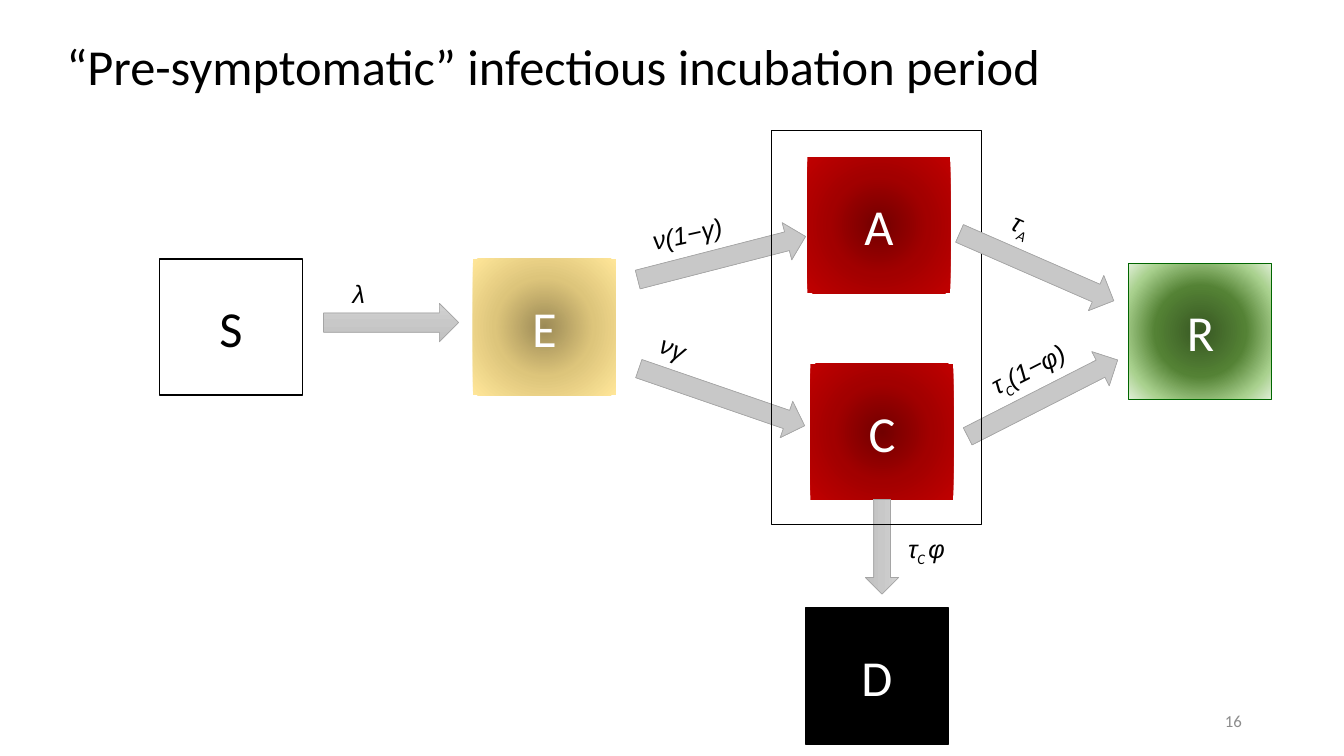
from pptx import Presentation
from pptx.dml.color import RGBColor as RGB
from pptx.enum.shapes import MSO_SHAPE as SHAPE
from pptx.enum.text import MSO_ANCHOR as ANCHOR, PP_ALIGN as ALIGN
from pptx.oxml import parse_xml
from pptx.oxml.ns import nsdecls, qn
from pptx.util import Pt

COLORS = {"black": "000000", "white": "FFFFFF", "green": "006600",
          "edge": "A5A5A5", "number": "8C8C8C"}
RED = [(0, "720000"), (50, "A20000"), (100, "C00000")]
GOLD = [(0, "9C8A56"), (50, "DDC57B"), (100, "FFE699")]
GREEN = [(0, "385723"), (46, "548235"), (79, "A9D18E"), (100, "E2F0D9")]
GRAY = [(0, "D2D2D2"), (50, "C8C8C8"), (100, "C0C0C0")]
RADIAL = ('<a:path path="circle"><a:fillToRect l="50000" t="50000" '
          'r="50000" b="50000"/></a:path>')
LINEAR = '<a:lin ang="5400000" scaled="0"/>'
BOX_W, BOX_H = 102.2, 97.2


class Diagram:
    """Holds the slide and the style of its elements."""

    def __init__(self, slide):
        self.s = slide
        self.font, self.greek = "Calibri", "Arial"

    def run(self, p, text, size, color="black", font=None, italic=False, sub=False):
        r = p.add_run()
        r.text = text
        r.font.name = font or self.font
        r.font.size = Pt(size)
        r.font.italic = italic
        r.font.color.rgb = RGB.from_string(COLORS[color])
        if sub:
            r.font._element.set("baseline", "-25000")

    def gradient(self, sp, stops, direction):
        sp.fill.solid()
        gs = "".join(f'<a:gs pos="{pos * 1000}"><a:srgbClr val="{c}"/></a:gs>'
                     for pos, c in stops)
        grad = parse_xml(f'<a:gradFill {nsdecls("a")} rotWithShape="1">'
                         f'<a:gsLst>{gs}</a:gsLst>{direction}</a:gradFill>')
        spPr = sp._element.spPr
        spPr.replace(spPr.find(qn("a:solidFill")), grad)

    def shape(self, kind, x, y, w, h, line=None, width=1):
        sp = self.s.shapes.add_shape(kind, Pt(x), Pt(y), Pt(w), Pt(h))
        sp.shadow.inherit = False
        sp.fill.background()
        if line:
            sp.line.color.rgb = RGB.from_string(COLORS[line])
            sp.line.width = Pt(width)
        else:
            sp.line.fill.background()
        return sp

    def state(self, letter, x, y, fill, color="white", line=None, width=1):
        sp = self.shape(SHAPE.RECTANGLE, x, y, BOX_W, BOX_H, line, width)
        if isinstance(fill, str):
            sp.fill.solid()
            sp.fill.fore_color.rgb = RGB.from_string(COLORS[fill])
        else:
            self.gradient(sp, fill, RADIAL)
        tf = sp.text_frame
        tf.vertical_anchor = ANCHOR.MIDDLE
        p = tf.paragraphs[0]
        p.alignment = ALIGN.CENTER
        self.run(p, letter, 36, color)

    def arrow(self, x, y, w, h=27.4, angle=0):
        sp = self.shape(SHAPE.RIGHT_ARROW, x, y, w, h, "edge", 0.5)
        self.gradient(sp, GRAY, LINEAR)
        sp.rotation = angle

    def text(self, x, y, w, h, anchor=ANCHOR.TOP, angle=0):
        sp = self.s.shapes.add_textbox(Pt(x), Pt(y), Pt(w), Pt(h))
        sp.rotation = angle
        tf = sp.text_frame
        tf.word_wrap = True
        tf.vertical_anchor = anchor
        return tf.paragraphs[0]

    def rate(self, parts, x, y, w, angle=0):
        """Label whose every second part is a subscript."""
        p = self.text(x, y, w, 28.8, angle=angle)
        for i, part in enumerate(parts):
            sub = i % 2 == 1
            self.run(p, part, 18, font=self.font if sub else self.greek,
                     italic=True, sub=sub)


def main():
    prs = Presentation()
    prs.slide_width, prs.slide_height = Pt(960), Pt(540)
    d = Diagram(prs.slides.add_slide(prs.slide_layouts[6]))

    # Title
    p = d.text(40.3, -2.9, 888.5, 104.4, ANCHOR.MIDDLE)
    p.line_spacing = 0.9
    d.run(p, "“Pre-symptomatic” infectious incubation period", 36)

    # Compartments
    d.state("S", 113.8, 185, "white", "black", "black")
    d.state("E", 337.7, 185, GOLD)
    d.state("A", 576.7, 112.3, RED)
    d.state("C", 578.9, 259.9, RED)
    d.state("R", 806.4, 187.9, GREEN, line="green", width=0.75)
    d.state("D", 575.3, 434.2, "black", line="black")

    # Transitions, with the frame around the infectious states
    d.arrow(231.1, 216.7, 96.5)
    d.arrow(453.6, 170.6, 123.8, angle=-14.4)
    d.arrow(452.9, 270, 125.3, angle=19)
    d.arrow(684.7, 270.7, 120.2, angle=-27)
    d.arrow(596.2, 378.7, 67.7, 23.8, angle=90)
    d.shape(SHAPE.RECTANGLE, 550.8, 92.9, 150.5, 281.5, "black", 0.75)
    d.arrow(680.4, 177.1, 120.2, angle=23.6)

    # Rates
    d.rate(["λ"], 244.8, 195.1, 141.8)
    d.rate(["ν(1−γ)"], 457.9, 146.9, 115.9, -12.4)
    d.rate(["νγ"], 462.2, 248.4, 115.9, 20.2)
    d.rate(["τ", "A"], 713.5, 159.1, 92.9, 23.6)
    d.rate(["τ", "C", "(1−φ)"], 697.7, 244.1, 92.9, -27)
    d.rate(["τ", "C ", "φ"], 641.5, 377.3, 78.5)

    # Slide number
    p = d.text(678.2, 500.4, 216, 28.8, ANCHOR.MIDDLE)
    p.alignment = ALIGN.RIGHT
    d.run(p, "16", 12, "number")

    prs.save("out.pptx")


if __name__ == "__main__":
    main()
